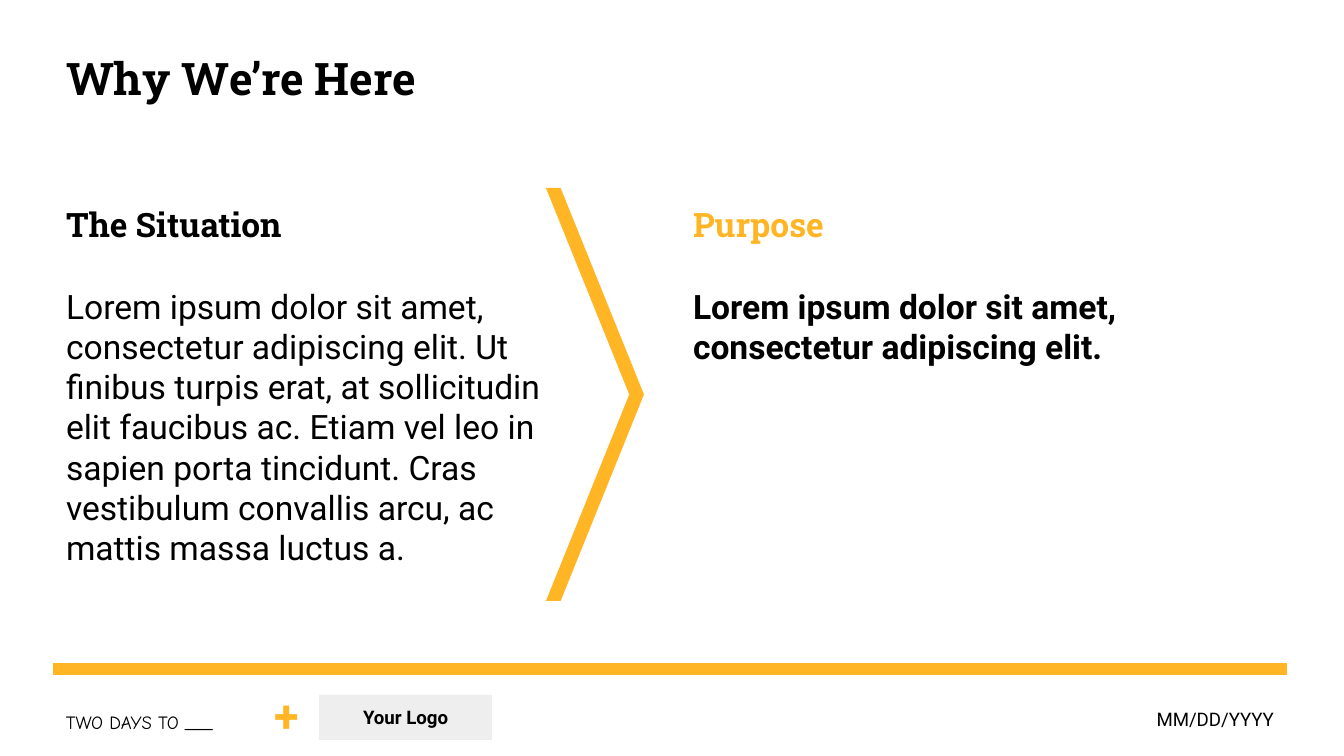
from lxml.etree import SubElement
from pptx import Presentation
from pptx.dml.color import RGBColor
from pptx.enum.shapes import MSO_CONNECTOR, MSO_SHAPE
from pptx.enum.text import MSO_ANCHOR, MSO_AUTO_SIZE, PP_ALIGN as Align
from pptx.oxml.ns import qn
from pptx.util import Pt

EMU_PER_PX = 914400 / 134.4
ACCENT = "FFB524"
INK = "000000"
LEFT, RIGHT = 53, 1287


def px(*lengths):
    return [round(length * EMU_PER_PX) for length in lengths]


def write(shape, text, size=18, font="Roboto", color=INK, bold=False,
          align=Align.LEFT, anchor=MSO_ANCHOR.TOP, after=0):
    frame = shape.text_frame
    frame.auto_size = MSO_AUTO_SIZE.NONE
    frame.word_wrap = True
    frame.vertical_anchor = anchor
    inset, = px(13)
    frame.margin_left = frame.margin_right = inset
    frame.margin_top = frame.margin_bottom = inset
    paragraph = frame.add_paragraph() if frame.text else frame.paragraphs[0]
    paragraph.alignment = align
    paragraph.space_before = Pt(0)
    paragraph.space_after = Pt(after)
    props = paragraph._p.get_or_add_pPr()
    props.set("marL", "0")
    props.set("indent", "0")
    SubElement(props, qn("a:buNone"))
    run = paragraph.add_run()
    run.text = text
    run.font.size = Pt(size)
    run.font.name = font
    run.font.bold = bold
    run.font.color.rgb = RGBColor.from_string(color)


deck = Presentation()
deck.slide_width, deck.slide_height = px(1344, 756)
slide = deck.slides.add_slide(deck.slide_layouts[3])
title, situation, purpose = slide.placeholders

title.left, title.top, title.width, title.height = px(LEFT, 38, 379, 85)
write(title, "Why We’re Here", size=24, font="Roboto Slab", bold=True)

columns = [
    (situation, LEFT, 542, "The Situation", INK, False,
     "Lorem ipsum dolor sit amet, consectetur adipiscing elit. Ut finibus "
     "turpis erat, at sollicitudin elit faucibus ac. Etiam vel leo in sapien "
     "porta tincidunt. Cras vestibulum convallis arcu, ac mattis massa luctus a."),
    (purpose, 680, 607, "Purpose", ACCENT, True,
     "Lorem ipsum dolor sit amet, consectetur adipiscing elit."),
]
for column, left, width, heading, heading_color, bold, body in columns:
    column.left, column.top, column.width, column.height = px(left, 191, width, 434)
    write(column, heading, font="Roboto Slab", color=heading_color, bold=True, after=22)
    write(column, body, bold=bold)

chevron = slide.shapes.add_shape(MSO_SHAPE.CHEVRON, *px(546, 188, 98, 413))
chevron.adjustments[0] = 0.85
logo = slide.shapes.add_shape(MSO_SHAPE.RECTANGLE, *px(319, 695, 173, 45))
for shape, fill in [(chevron, ACCENT), (logo, "EEEEEE")]:
    shape.shadow.inherit = False
    shape.fill.solid()
    shape.fill.fore_color.rgb = RGBColor.from_string(fill)
    shape.line.fill.background()
write(logo, "Your Logo", size=10, bold=True, align=Align.CENTER, anchor=MSO_ANCHOR.MIDDLE)

footer_rule = slide.shapes.add_connector(MSO_CONNECTOR.STRAIGHT, *px(LEFT, 669, RIGHT, 669))
footer_rule.line.color.rgb = RGBColor.from_string(ACCENT)
footer_rule.line.width = Pt(6)
SubElement(footer_rule._element.spPr, qn("a:effectLst"))

footers = [
    ((LEFT, 698, 207, 43), "TWO DAYS TO ___", dict(size=10, font="Comic Neue")),
    ((261, 675, 52, 65), "+", dict(size=24, color=ACCENT, bold=True)),
    ((1071, 695, 216, 45), "MM/DD/YYYY", dict(size=10, align=Align.RIGHT)),
]
for box, text, style in footers:
    write(slide.shapes.add_textbox(*px(*box)), text, **style)

deck.save("out.pptx")
